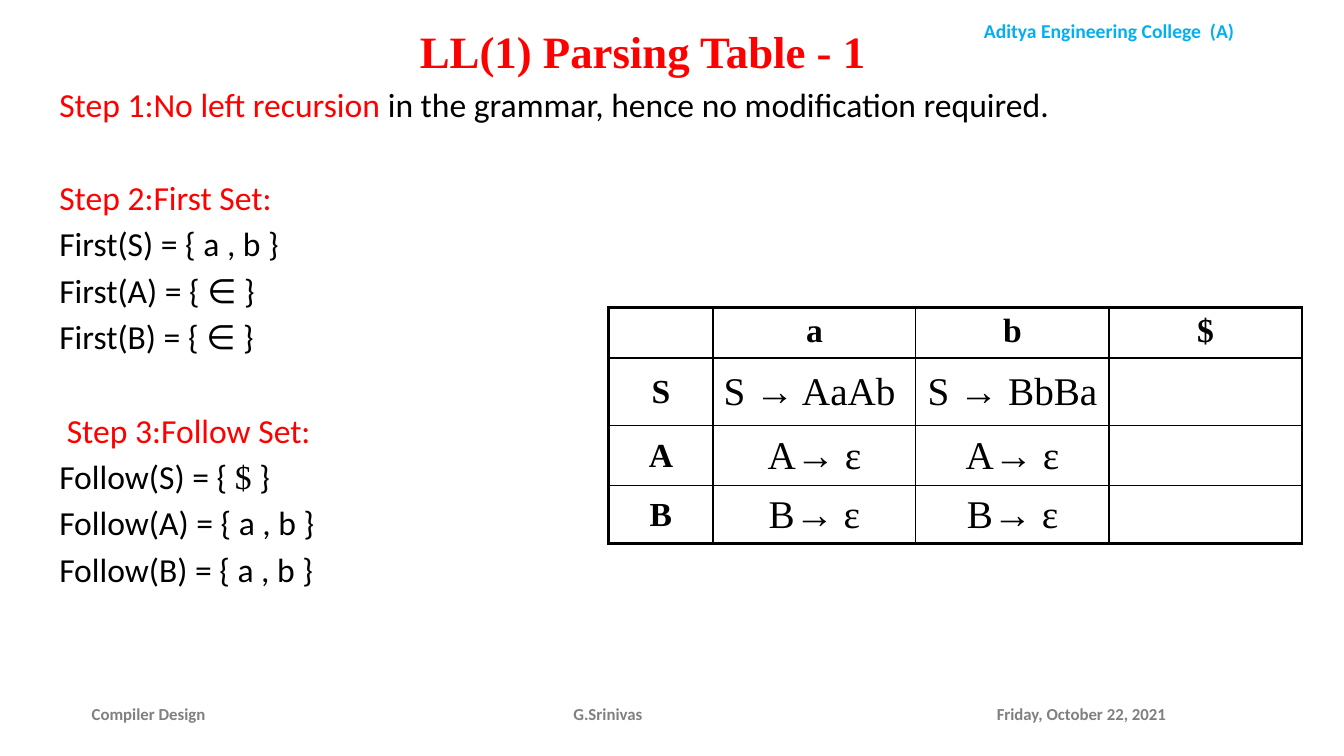
from lxml.etree import SubElement
from pptx import Presentation
from pptx.dml.color import RGBColor
from pptx.enum.text import MSO_ANCHOR, MSO_AUTO_SIZE, PP_ALIGN
from pptx.oxml.ns import qn
from pptx.util import Cm, Pt

COLORS = {"red": "FF0000", "black": "000000", "gray": "808080", "sky": "00B0F0"}
SANS, SERIF = "Calibri", "Times New Roman"
TITLE = {"size": 32, "name": SERIF, "color": "red", "bold": True}
STEP = {"size": 24, "name": SANS, "color": "red", "bold": False}
BODY = {**STEP, "color": "black"}
HEAD = {"size": 24, "name": SERIF, "color": "black", "bold": True}
RULE = {**HEAD, "size": 28, "bold": False}
COLLEGE = {"size": 14, "name": SANS, "color": "sky", "bold": True}
FOOTER = {**COLLEGE, "size": 12, "color": "gray"}

LINE_GAP, STEP_GAP = 4.3, 37.9
STEPS = [
    (0, [("Step 1:No left recursion ", STEP),
         ("in the grammar, hence no modification required.", BODY)], []),
    (0, [("Step 2:First Set:", STEP)],
     [[("First(S) = { a , b }", BODY)],
      [("First(A) = { ∈ }", BODY)],
      [("First(B) = { ∈ }", BODY)]]),
    (0.19, [("Step 3:Follow Set:", STEP)],
     [[("Follow(S) = { ", BODY), ("$", {**BODY, "name": SERIF}), (" }", BODY)],
      [("Follow(A) = { a , b }", BODY)],
      [("Follow(B) = { a , b }", BODY)]]),
]
PARSE_ROWS = [
    ["", "a", "b", "$"],
    ["S", "S → AaAb ", "S → BbBa ", ""],
    ["A", "A→ ε", "A→ ε", ""],
    ["B", "B→ ε", "B→ ε", ""],
]
COL_WIDTHS = [2.63, 5.11, 4.87, 4.86]
ROW_HEIGHTS = [1.27, 1.71, 1.51, 1.46]


def add_run(p, text, fmt):
    """Append a run formatted from a dict of font values."""
    r = p.add_run()
    r.text = text
    for key, value in fmt.items():
        if key == "color":
            r.font.color.rgb = RGBColor.from_string(COLORS[value])
        else:
            setattr(r.font, key, Pt(value) if key == "size" else value)


def place(sp, box):
    """Move a shape to a box given in centimetres."""
    for name, value in zip(("left", "top", "width", "height"), box):
        setattr(sp, name, Cm(value))


def add_title(slide, box):
    """Fill the title placeholder."""
    sp = slide.shapes.title
    place(sp, box)
    tf = sp.text_frame
    tf.vertical_anchor = MSO_ANCHOR.MIDDLE
    tf.paragraphs[0].alignment = PP_ALIGN.CENTER
    add_run(tf.paragraphs[0], "LL(1) Parsing Table - 1", TITLE)


def add_steps(slide, box):
    """Fill the body placeholder with the three steps."""
    sp = slide.placeholders[1]
    place(sp, box)
    tf = sp.text_frame
    tf.auto_size = MSO_AUTO_SIZE.NONE
    lines = []
    for indent, heading, details in STEPS:
        lines.append((indent, STEP_GAP, heading))
        lines += [(0, LINE_GAP, runs) for runs in details]
    for i, (indent, gap, runs) in enumerate(lines):
        p = tf.add_paragraph() if i else tf.paragraphs[0]
        p.space_before = Pt(gap if i else 0)
        pPr = p._p.get_or_add_pPr()
        pPr.set("marL", str(int(Cm(indent))))
        pPr.set("indent", "0")
        SubElement(pPr, qn("a:buNone"))
        for text, fmt in runs:
            add_run(p, text, fmt)


def add_borders(cell, widths):
    """Draw the four black sides of a cell, widths in points."""
    tcPr = cell._tc.get_or_add_tcPr()
    for side, width in zip("LRTB", widths):
        ln = SubElement(tcPr, qn(f"a:ln{side}"), w=str(int(Pt(width))))
        fill = SubElement(ln, qn("a:solidFill"))
        SubElement(fill, qn("a:srgbClr"), val=COLORS["black"])


def add_parse_table(slide, left, top):
    """Draw the LL(1) table with a heavier outer frame."""
    last_row, last_col = len(ROW_HEIGHTS) - 1, len(COL_WIDTHS) - 1
    table = slide.shapes.add_table(
        len(ROW_HEIGHTS), len(COL_WIDTHS), Cm(left), Cm(top),
        Cm(sum(COL_WIDTHS)), Cm(sum(ROW_HEIGHTS))).table
    table.first_row = table.horz_banding = False
    for col, width in zip(table.columns, COL_WIDTHS):
        col.width = Cm(width)
    for row, height in zip(table.rows, ROW_HEIGHTS):
        row.height = Cm(height)
    for i, texts in enumerate(PARSE_ROWS):
        for j, text in enumerate(texts):
            cell = table.cell(i, j)
            outer = (j == 0, j == last_col, i == 0, i == last_row)
            add_borders(cell, [2.25 if edge else 1 for edge in outer])
            cell.fill.background()
            cell.vertical_anchor = MSO_ANCHOR.MIDDLE if i else MSO_ANCHOR.TOP
            p = cell.text_frame.paragraphs[0]
            p.alignment = PP_ALIGN.CENTER
            if text:
                add_run(p, text, RULE if i and j else HEAD)


def add_label(slide, box, text, fmt, align, anchor=MSO_ANCHOR.MIDDLE):
    """Add a one-line header or footer label."""
    tf = slide.shapes.add_textbox(*map(Cm, box)).text_frame
    tf.word_wrap = True
    tf.vertical_anchor = anchor
    tf.paragraphs[0].alignment = align
    add_run(tf.paragraphs[0], text, fmt)


def add_footer(slide, top, height):
    """Add the course, author and date labels."""
    for left, width, text, align in (
            (2.06, 5.36, "Compiler Design", PP_ALIGN.LEFT),
            (11.51, 7.62, "G.Srinivas", PP_ALIGN.CENTER),
            (24.87, 6.93, "Friday, October 22, 2021", PP_ALIGN.LEFT)):
        add_label(slide, (left, top, width, height), text, FOOTER, align)


def main():
    """Build and save the slide."""
    prs = Presentation()
    prs.slide_width, prs.slide_height = Cm(33.87), Cm(19.05)
    slide = prs.slides.add_slide(prs.slide_layouts[1])
    add_label(slide, (23.09, 0.36, 9.73, 0.86), "Aditya Engineering College  (A)",
              COLLEGE, PP_ALIGN.CENTER, MSO_ANCHOR.TOP)
    add_title(slide, (3.18, 0, 26.04, 2.54))
    add_steps(slide, (1.24, 1.98, 26.59, 14.17))
    add_parse_table(slide, 15.34, 7.75)
    add_footer(slide, 17.48, 1.02)
    prs.save("out.pptx")


if __name__ == "__main__":
    main()
